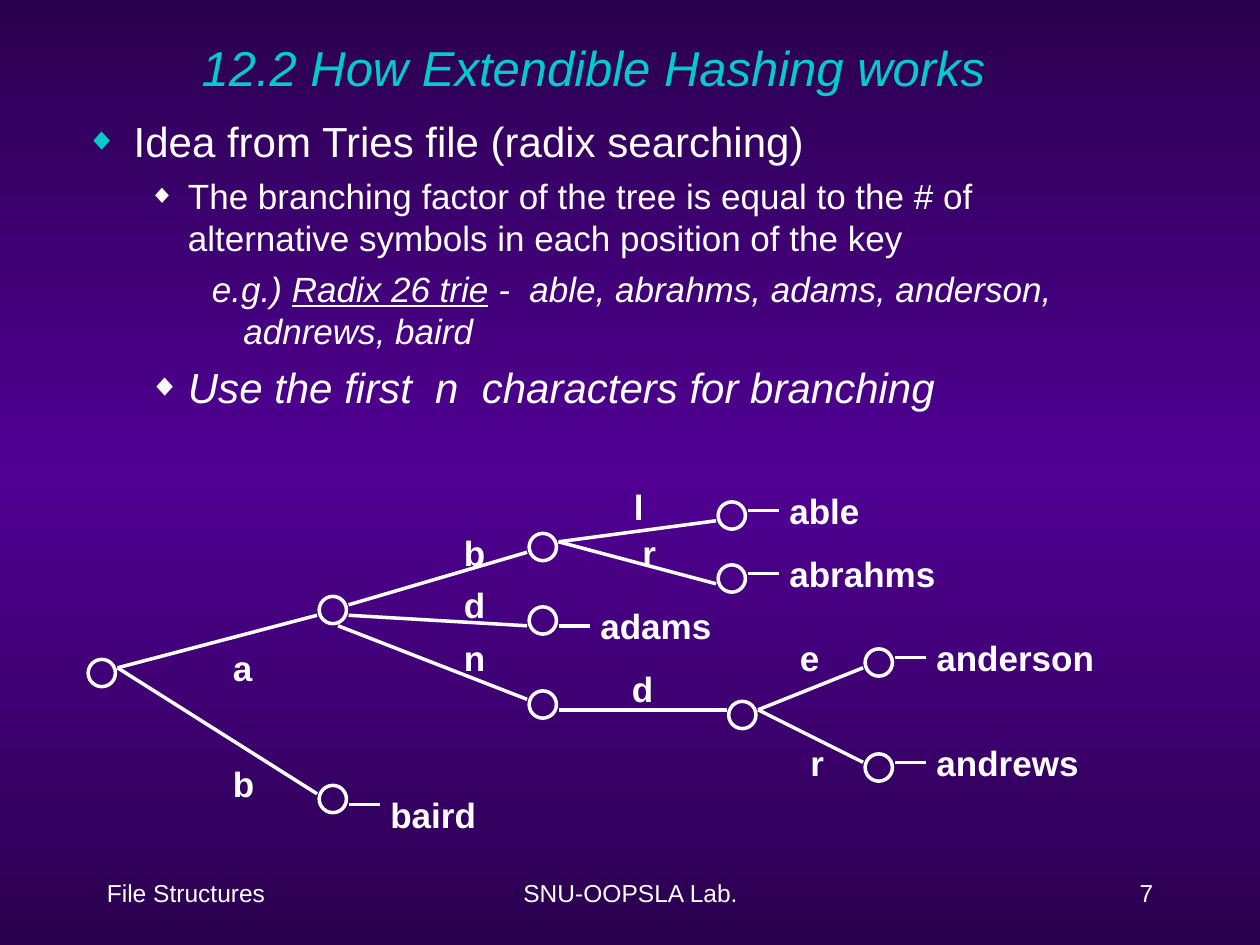
from dataclasses import dataclass
from typing import Optional

import pptx
import pptx.dml.color
import pptx.enum.shapes
import pptx.enum.text
import pptx.oxml
import pptx.oxml.ns
import pptx.util
import copy

COLORS = {"accent": "00CCCC", "text": "FFFFFF", "edge": "2A004E", "middle": "500093"}
FONT = "Arial"
WIDTH, HEIGHT = pptx.util.Inches(10), pptx.util.Inches(7.5)
COLUMNS, ROWS = 120, 90
LINE_SHIFT = (0.2, 0.6)
NODE_SHIFT = (0.4, -0.2)
NODE_SIZE = 2.6
TAIL = 3
ALIGN = pptx.enum.text.PP_ALIGN
ANCHOR = pptx.enum.text.MSO_ANCHOR


@dataclass
class Node:
    column: int
    row: int


@dataclass
class Branch:
    start: tuple[int, int]
    end: tuple[int, int]


@dataclass
class Label:
    text: str
    column: float
    row: float
    width: float
    tail: Optional[tuple[int, int]] = None


@dataclass
class Point:
    spans: list[tuple[str, dict]]
    size: int
    margin: float
    hanging: float
    before: int = 0
    bullet: Optional[str] = None


@dataclass
class Footer:
    text: str
    left: float
    width: float
    align: ALIGN


NODES = [Node(8, 63), Node(30, 75), Node(82, 72), Node(82, 62), Node(69, 67), Node(50, 66),
         Node(50, 58), Node(30, 57), Node(68, 54), Node(68, 48), Node(50, 51)]
BRANCHES = [
    Branch((11, 63), (30, 58)), Branch((11, 63), (30, 75)),
    Branch((33, 57), (50, 52)), Branch((33, 58), (50, 59)), Branch((32, 59), (50, 66)),
    Branch((53, 51), (68, 49)), Branch((53, 51), (68, 55)),
    Branch((53, 67), (69, 67)),
    Branch((72, 67), (82, 63)), Branch((72, 67), (82, 72)),
]
LABELS = [
    Label("a", 21, 61, 4.3), Label("b", 21, 72, 4.4),
    Label("b", 43, 50, 4.4), Label("d", 43, 55, 4.4), Label("n", 43, 60, 4.4),
    Label("l", 59.2, 45.6, 3.4), Label("r", 60, 50, 3.7), Label("d", 59, 63, 4.4),
    Label("e", 75, 60, 4.3), Label("r", 76, 70, 3.7),
    Label("able", 74, 46, 9.1, (71, 48)), Label("abrahms", 74, 52, 16.3, (71, 54)),
    Label("adams", 56, 57, 13, (53, 59)), Label("anderson", 88, 60, 17.5, (85, 62)),
    Label("andrews", 88, 70, 16, (85, 72)), Label("baird", 36, 75, 10.6, (33, 76)),
]
POINTS = [
    Point([("Idea from Tries file (radix searching)", {})], 24, 0.38, 0.38, bullet="accent"),
    Point([("The branching factor of the tree is equal to the # of alternative symbols "
            "in each position of the key", {})], 20, 0.81, 0.31, 5, "text"),
    Point([("e.g.) ", {"italic": True}), ("Radix 26 trie", {"italic": True, "underline": True}),
           (" -  able, abrahms, adams, anderson, adnrews, baird", {"italic": True})],
          20, 1.25, 0.25, 5),
    Point([("Use the first  n  characters for branching", {"italic": True})],
          24, 0.81, 0.31, 6, "text"),
]
FOOTERS = [Footer("File Structures", 0.075, 0.208, ALIGN.LEFT),
           Footer("SNU-OOPSLA Lab.", 0.342, 0.317, ALIGN.CENTER),
           Footer("7", 0.717, 0.208, ALIGN.RIGHT)]


def grid_x(column: float) -> int:
    return round(WIDTH * column / COLUMNS)


def grid_y(row: float) -> int:
    return round(HEIGHT * row / ROWS)


def color(name: str) -> pptx.dml.color.RGBColor:
    return pptx.dml.color.RGBColor.from_string(COLORS[name])


def add_span(para, text: str, *, size: int, name: str = "text", bold: bool = False,
             italic: bool = False, underline: bool = False) -> None:
    span = para.add_run()
    span.text = text
    font = span.font
    font.name, font.size = FONT, pptx.util.Pt(size)
    font.bold, font.italic, font.underline = bold, italic, underline
    font.color.rgb = color(name)


def paint_background(page) -> None:
    fill = page.background.fill
    fill.gradient()
    fill.gradient_angle = 90
    stops = page.element.find(".//" + pptx.oxml.ns.qn("a:gsLst"))
    stops.insert(1, copy.deepcopy(stops[0]))
    for stop, position, name in zip(fill.gradient_stops, (0, 0.5, 1), ("edge", "middle", "edge")):
        stop.position = position
        stop.color.rgb = color(name)


def add_title(page, text: str) -> None:
    title = page.shapes.title
    title.left, title.top = grid_x(18), grid_y(3)
    title.width, title.height = grid_x(78), grid_y(6.7)
    title.text_frame.vertical_anchor = ANCHOR.MIDDLE
    title.text_frame.auto_size = pptx.enum.text.MSO_AUTO_SIZE.NONE
    para = title.text_frame.paragraphs[0]
    para.alignment = ALIGN.LEFT
    add_span(para, text, size=28, name="accent", italic=True)


def add_bullet(para, name: str) -> None:
    namespace = pptx.oxml.ns.nsdecls("a")
    for markup in (f'<a:buClr {namespace}><a:srgbClr val="{COLORS[name]}"/></a:buClr>',
                   f'<a:buSzPct {namespace} val="75000"/>',
                   f'<a:buFont {namespace} typeface="{FONT}"/>',
                   f'<a:buChar {namespace} char="◆"/>'):
        para._p.get_or_add_pPr().append(pptx.oxml.parse_xml(markup))


def add_points(page) -> None:
    box = page.shapes.add_textbox(grid_x(7), grid_y(10.4), grid_x(103), grid_y(71))
    frame = box.text_frame
    frame.word_wrap = True
    for index, point in enumerate(POINTS):
        para = frame.add_paragraph() if index else frame.paragraphs[0]
        properties = para._p.get_or_add_pPr()
        properties.set("marL", str(pptx.util.Inches(point.margin)))
        properties.set("indent", str(-pptx.util.Inches(point.hanging)))
        if point.before:
            para.space_before = pptx.util.Pt(point.before)
        if point.bullet:
            add_bullet(para, point.bullet)
        for text, style in point.spans:
            add_span(para, text, size=point.size, **style)


def add_node(page, node: Node) -> None:
    circle = page.shapes.add_shape(
        pptx.enum.shapes.MSO_SHAPE.OVAL, grid_x(node.column + NODE_SHIFT[0]),
        grid_y(node.row + NODE_SHIFT[1]), grid_x(NODE_SIZE), grid_y(NODE_SIZE))
    circle.shadow.inherit = False
    circle.fill.background()
    circle.line.color.rgb = color("text")
    circle.line.width = pptx.util.Pt(2)


def add_branch(page, branch: Branch) -> None:
    ends = [place(value + shift) for end in (branch.start, branch.end)
            for place, value, shift in zip((grid_x, grid_y), end, LINE_SHIFT)]
    line = page.shapes.add_connector(pptx.enum.shapes.MSO_CONNECTOR.STRAIGHT, *ends)
    line.line.color.rgb = color("text")
    line.line.width = pptx.util.Pt(2)
    effects = f'<a:effectLst {pptx.oxml.ns.nsdecls("a")}/>'
    line._element.spPr.append(pptx.oxml.parse_xml(effects))


def add_label(page, label: Label) -> None:
    box = page.shapes.add_textbox(grid_x(label.column), grid_y(label.row),
                                  grid_x(label.width), grid_y(5.2))
    box.text_frame.word_wrap = False
    box.text_frame.auto_size = pptx.enum.text.MSO_AUTO_SIZE.SHAPE_TO_FIT_TEXT
    add_span(box.text_frame.paragraphs[0], label.text, size=20, bold=True)
    if label.tail:
        column, row = label.tail
        add_branch(page, Branch(label.tail, (column + TAIL, row)))


def add_footer(page, footer: Footer) -> None:
    box = page.shapes.add_textbox(round(WIDTH * footer.left), grid_y(82),
                                  round(WIDTH * footer.width), grid_y(6))
    box.text_frame.word_wrap = True
    box.text_frame.vertical_anchor = ANCHOR.MIDDLE
    para = box.text_frame.paragraphs[0]
    para.alignment = footer.align
    add_span(para, footer.text, size=14)


def main() -> None:
    deck = pptx.Presentation()
    deck.slide_width, deck.slide_height = WIDTH, HEIGHT
    page = deck.slides.add_slide(deck.slide_layouts[5])
    paint_background(page)
    add_title(page, "12.2 How Extendible Hashing works")
    add_points(page)
    for draw, items in ((add_node, NODES), (add_branch, BRANCHES),
                        (add_label, LABELS), (add_footer, FOOTERS)):
        for item in items:
            draw(page, item)
    deck.save("out.pptx")


if __name__ == "__main__":
    main()
